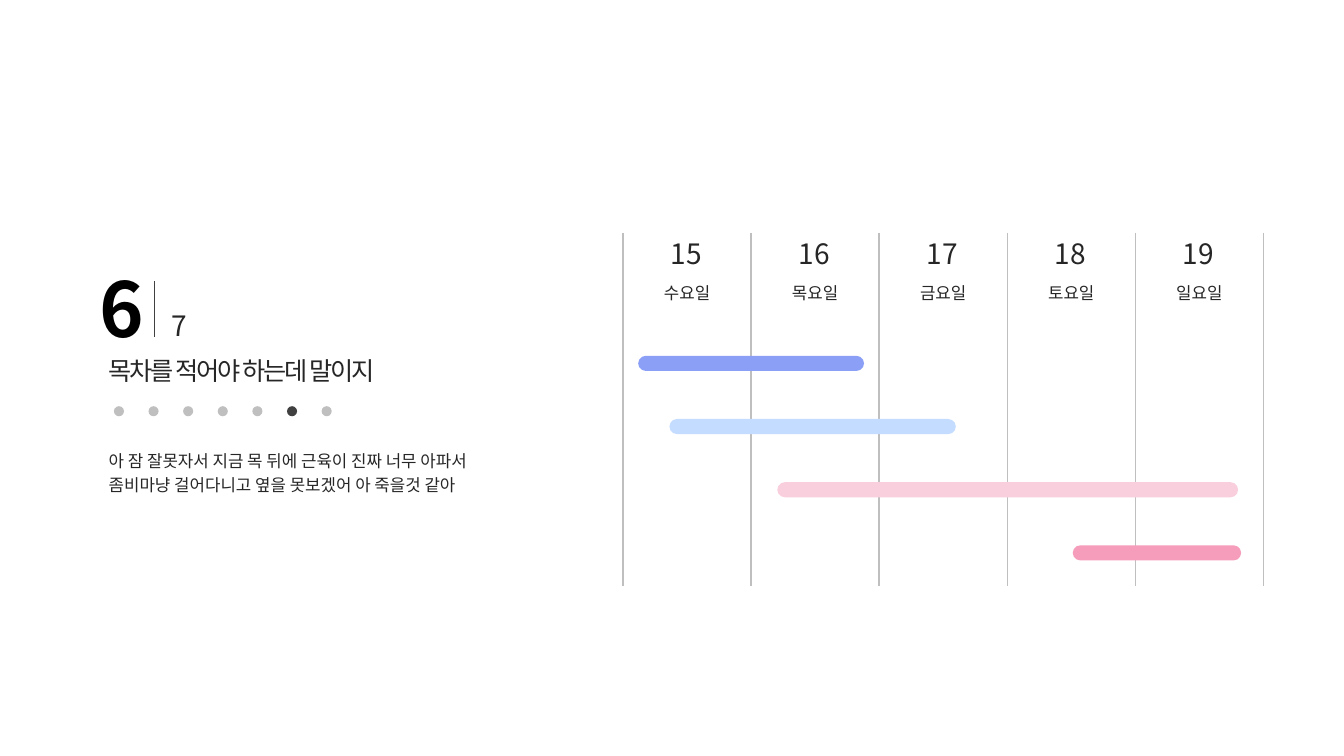
import pptx
import pptx.util
import pptx.dml.color
import pptx.enum.shapes
import pptx.enum.text
import pptx.oxml
import pptx.oxml.ns

Inches = pptx.util.Inches
Shapes = pptx.enum.shapes.MSO_SHAPE
Align = pptx.enum.text.PP_ALIGN


def color(value):
    return pptx.dml.color.RGBColor.from_string(value)


class SlideBuilder:
    font = "Noto Sans CJK KR"
    ink = "262626"
    dark = "404040"
    gray = "BFBFBF"

    def __init__(self, page):
        self.page = page

    def text(self, lines, left, top, width, height, size, align=Align.LEFT,
             ink=None, bold=None, spacing=None, tracking=None, group=None):
        owner = group or self.page
        box = owner.shapes.add_textbox(Inches(left), Inches(top), Inches(width), Inches(height))
        frame = box.text_frame
        frame.word_wrap = False
        frame.auto_size = pptx.enum.text.MSO_AUTO_SIZE.SHAPE_TO_FIT_TEXT
        font_format = {"name": self.font, "size": pptx.util.Pt(size), "bold": bold}
        for index, line in enumerate(lines):
            para = frame.add_paragraph() if index else frame.paragraphs[0]
            for name, value in {"alignment": align, "line_spacing": spacing}.items():
                setattr(para, name, value)
            span = para.add_run()
            span.text = line
            for name, value in font_format.items():
                setattr(span.font, name, value)
            span.font.color.rgb = color(ink or self.ink)
            properties = span._r.get_or_add_rPr()
            east_asian = pptx.oxml.ns.qn("a:ea")
            properties.append(properties.makeelement(east_asian, {"typeface": self.font}))
            if tracking is not None:
                properties.set("spc", str(round(tracking * 100)))

    def vertical_line(self, x, top, bottom, ink):
        line = self.page.shapes.add_connector(
            pptx.enum.shapes.MSO_CONNECTOR.STRAIGHT,
            Inches(x), Inches(top), Inches(x), Inches(bottom))
        line.line.color.rgb = color(ink)
        line.line.width = pptx.util.Pt(1)
        properties = line._element.spPr
        properties.append(properties.makeelement(pptx.oxml.ns.qn("a:effectLst"), {}))

    def shape(self, kind, left, top, width, height, fill):
        shape = self.page.shapes.add_shape(
            kind, Inches(left), Inches(top), Inches(width), Inches(height))
        shape.shadow.inherit = False
        shape.fill.solid()
        shape.fill.fore_color.rgb = color(fill)
        shape.line.fill.background()
        return shape

    def dot(self, left, top, fill):
        self.shape(Shapes.OVAL, left, top, 0.1, 0.1, fill)

    def bar(self, left, top, width, fill):
        bar = self.shape(Shapes.ROUNDED_RECTANGLE, left, top, width, 0.15, fill)
        bar.adjustments[0] = 0.5

    def day(self, left, number, weekday):
        group = self.page.shapes.add_group_shape()
        self.text([number], left + 0.37, 2.3, 0.51, 0.44, 20, Align.CENTER, group=group)
        self.text([weekday], left + 0.28, 2.76, 0.71, 0.3, 12, Align.CENTER, group=group)


def add_heading(builder):
    builder.text(["6"], 0.89, 2.55, 0.64, 1.01, 54, Align.CENTER, ink="000000", bold=True)
    builder.text(["7"], 1.6, 3.01, 0.36, 0.44, 20)
    builder.vertical_line(1.53, 2.79, 3.34, builder.dark)
    builder.text(["목차를 적어야 하는데 말이지"], 0.98, 3.48, 3.18, 0.4, 18, tracking=-1.5)
    first_dot, last_dot, dot_count, current_dot = 1.13, 3.19, 7, 5
    dot_step = (last_dot - first_dot) / (dot_count - 1)
    for index in range(dot_count):
        fill = builder.dark if index == current_dot else builder.gray
        builder.dot(first_dot + index * dot_step, 4.03, fill)
    builder.text(["아 잠 잘못자서 지금 목 뒤에 근육이 진짜 너무 아파서",
                  "좀비마냥 걸어다니고 옆을 못보겠어 아 죽을것 같아"],
                 0.98, 4.38, 4.27, 0.59, 12, spacing=1.2)


def add_schedule(builder):
    left, day_width = 6.18, 1.27
    weekdays = ["수요일", "목요일", "금요일", "토요일", "일요일"]
    for index in range(len(weekdays) + 1):
        builder.vertical_line(left + index * day_width, 2.31, 5.81, builder.gray)
    for index, weekday in enumerate(weekdays):
        builder.day(left + index * day_width, str(15 + index), weekday)
    bars = [(6.33, 2.24, "8B9FF7"), (6.64, 2.84, "C4DCFF"),
            (7.71, 4.57, "F9CEDD"), (10.64, 1.67, "F59DBB")]
    first_bar, last_bar = 3.53, 5.41
    bar_step = (last_bar - first_bar) / (len(bars) - 1)
    for index, (start, width, fill) in enumerate(bars):
        builder.bar(start, first_bar + index * bar_step, width, fill)


def main():
    deck = pptx.Presentation()
    deck.slide_width = Inches(13.33)
    deck.slide_height = Inches(7.5)
    builder = SlideBuilder(deck.slides.add_slide(deck.slide_layouts[6]))
    add_heading(builder)
    add_schedule(builder)
    deck.save("out.pptx")


if __name__ == "__main__":
    main()
